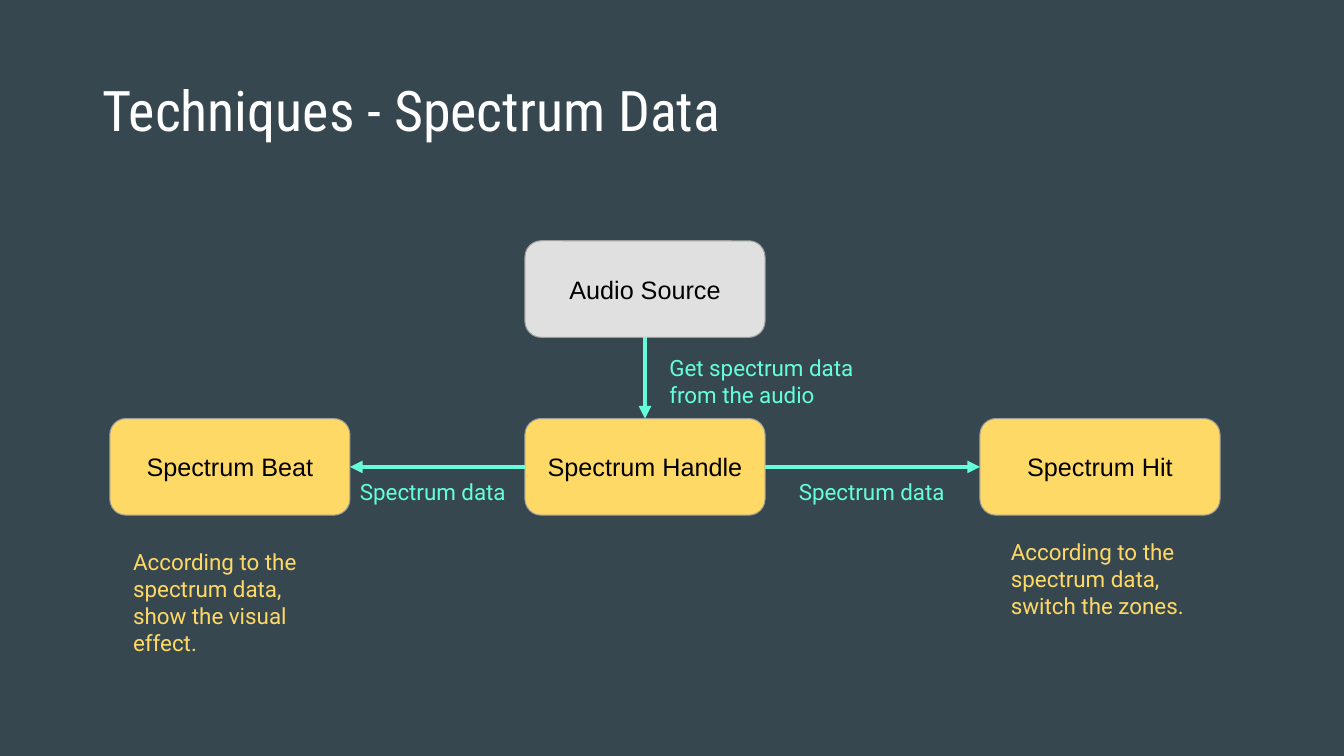
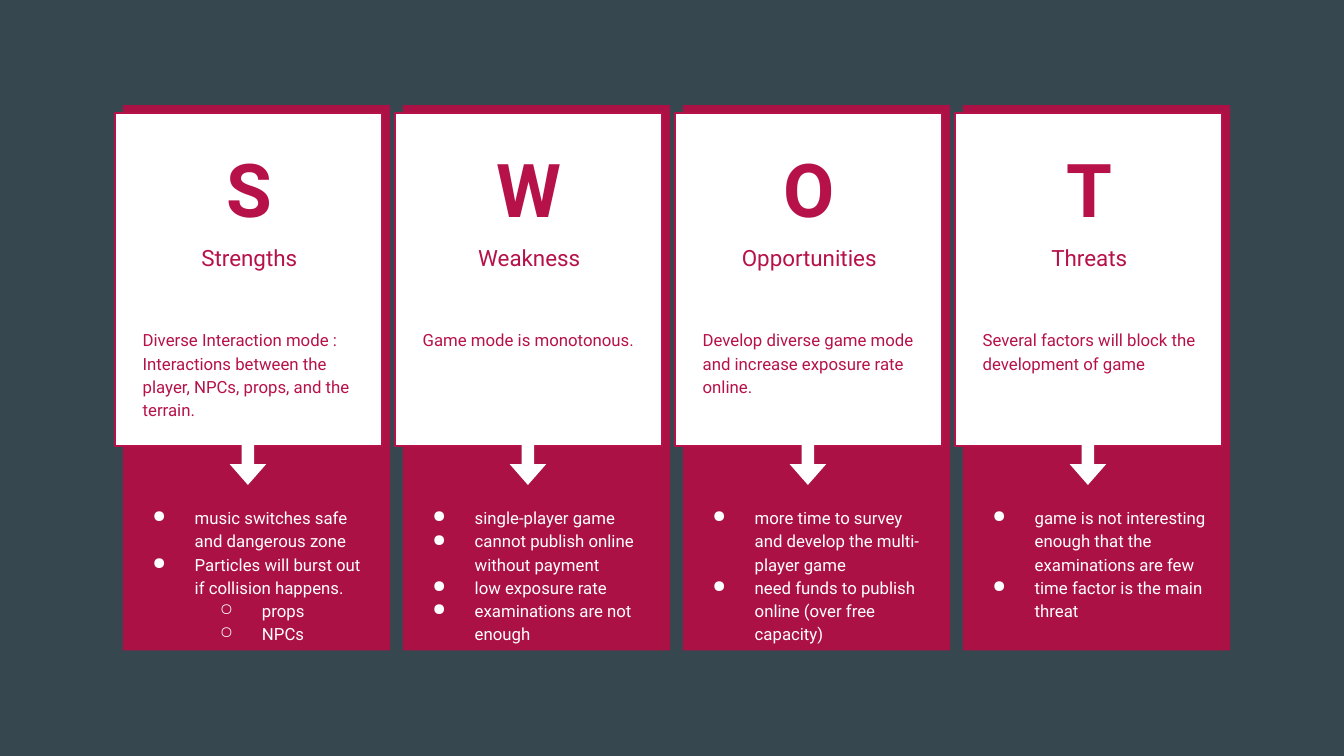
from lxml import etree
from pptx import Presentation
from pptx.dml.color import RGBColor
from pptx.enum.shapes import MSO_CONNECTOR, MSO_SHAPE
from pptx.enum.text import MSO_ANCHOR, MSO_AUTO_SIZE, PP_ALIGN
from pptx.oxml.ns import qn
from pptx.util import Pt

LEFT, CENTER = PP_ALIGN.LEFT, PP_ALIGN.CENTER
TOP, MIDDLE = MSO_ANCHOR.TOP, MSO_ANCHOR.MIDDLE
NO_AUTOFIT = MSO_AUTO_SIZE.NONE
STRAIGHT = MSO_CONNECTOR.STRAIGHT
RECTANGLE = MSO_SHAPE.RECTANGLE
ROUNDED = MSO_SHAPE.ROUNDED_RECTANGLE
DOWN_ARROW = MSO_SHAPE.DOWN_ARROW
TITLE_ONLY, BLANK = 5, 6
SITE_TOP, SITE_LEFT, SITE_BOTTOM, SITE_RIGHT = range(4)

SLATE, WHITE, BLACK = "37474F", "FFFFFF", "000000"
LIGHT_GRAY, GRAY = "E0E0E0", "9E9E9E"
YELLOW, MINT = "FFD966", "64FFDA"
CRIMSON, ROSE = "AC1145", "B61249"
BULLETS = "●○"


def color(value):
    return RGBColor.from_string(value)


class Deck:
    """Holds the shared style and the slide being built."""

    def __init__(self):
        self.deck = Presentation()
        self.deck.slide_width, self.deck.slide_height = Pt(960), Pt(540)
        background = self.deck.slide_master.background.fill
        background.solid()
        background.fore_color.rgb = color(SLATE)
        self.page = self.shapes = None

    def new_page(self, title=None):
        layout = TITLE_ONLY if title else BLANK
        self.page = self.deck.slides.add_slide(self.deck.slide_layouts[layout])
        self.shapes = self.page.shapes
        if title:
            box = self.page.shapes.title
            box.left, box.top, box.width, box.height = Pt(66), Pt(29), Pt(828), Pt(104)
            self.frame(box, 7.2, 3.6, MIDDLE)
            self.add_span(box.text_frame.paragraphs[0], title, 40, WHITE,
                          font="Roboto Condensed", spacing=0.9)

    def new_group(self):
        """Collect the next elements in a group on the current page."""
        self.shapes = self.page.shapes.add_group_shape().shapes

    def frame(self, box, side, edge, anchor):
        frame = box.text_frame
        frame.word_wrap = True
        frame.auto_size = NO_AUTOFIT
        frame.vertical_anchor = anchor
        frame.margin_left = frame.margin_right = Pt(side)
        frame.margin_top = frame.margin_bottom = Pt(edge)

    def add_span(self, para, text, size, ink, font="Roboto", align=LEFT,
                 spacing=1.0, bold=False):
        para.alignment = align
        para.line_spacing = spacing
        para.space_before = para.space_after = Pt(0)
        span = para.add_run()
        span.text = text
        span.font.name, span.font.size, span.font.bold = font, Pt(size), bold
        span.font.color.rgb = color(ink)

    def bullet(self, para, level):
        para.level = level
        properties = para._p.get_or_add_pPr()
        properties.set("marL", str(Pt(48 * (level + 1))))
        properties.set("indent", str(Pt(-30)))
        etree.SubElement(properties, qn("a:buChar")).set("char", BULLETS[level])

    def text(self, x, y, width, height, items, size, ink, inset=7.2,
             bulleted=False, **style):
        """Add a text box; each item is a (level, text) pair if bulleted."""
        box = self.shapes.add_textbox(Pt(x), Pt(y), Pt(width), Pt(height))
        self.frame(box, inset, inset, TOP)
        for index, item in enumerate(items):
            frame = box.text_frame
            para = frame.add_paragraph() if index else frame.paragraphs[0]
            level, words = item if bulleted else (0, item)
            if bulleted:
                self.bullet(para, level)
            self.add_span(para, words, size, ink, **style)

    def shape(self, kind, x, y, width, height, fill, line=None, weight=0.75):
        shape = self.shapes.add_shape(kind, Pt(x), Pt(y), Pt(width), Pt(height))
        shape.shadow.inherit = False
        shape.fill.solid()
        shape.fill.fore_color.rgb = color(fill)
        if line:
            shape.line.color.rgb = color(line)
            shape.line.width = Pt(weight)
        else:
            shape.line.fill.background()
        return shape

    def node(self, x, y, label, fill):
        node = self.shape(ROUNDED, x, y, 171.5, 69, fill, GRAY)
        self.frame(node, 7.2, 7.2, MIDDLE)
        self.add_span(node.text_frame.paragraphs[0], label, 18, BLACK,
                      font="Arial", align=CENTER)
        return node

    def arrow(self, start, start_site, end, end_site):
        arrow = self.shapes.add_connector(STRAIGHT, 0, 0, 0, 0)
        arrow.begin_connect(start, start_site)
        arrow.end_connect(end, end_site)
        arrow.line.color.rgb = color(MINT)
        arrow.line.width = Pt(3)
        properties = arrow._element.spPr
        line = properties.find(qn("a:ln"))
        etree.SubElement(line, qn("a:tailEnd")).set("type", "triangle")
        etree.SubElement(properties, qn("a:effectLst"))


def build_spectrum(deck):
    deck.new_page("Techniques - Spectrum Data")

    # Flow chart
    source = deck.node(375, 172, "Audio Source", LIGHT_GRAY)
    beat, handle, hit = [
        deck.node(x, 299, label, YELLOW)
        for x, label in ((78.5, "Spectrum Beat"), (375, "Spectrum Handle"),
                         (700, "Spectrum Hit"))]
    deck.arrow(source, SITE_BOTTOM, handle, SITE_TOP)
    deck.arrow(handle, SITE_LEFT, beat, SITE_RIGHT)
    deck.arrow(handle, SITE_RIGHT, hit, SITE_LEFT)

    # Arrow labels and notes
    for x, y, width, height, words, ink in (
            (471, 245.5, 151, 53, "Get spectrum data from the audio", MINT),
            (250, 334, 136, 34, "Spectrum data", MINT),
            (563.5, 334, 136, 34, "Spectrum data", MINT),
            (88, 384.5, 153.5, 73,
             "According to the spectrum data, show the visual effect.", YELLOW),
            (715, 377, 153.5, 73,
             "According to the spectrum data, switch the zones.", YELLOW)):
        deck.text(x, y, width, height, [words], 16, ink)


SWOT = (
    ("Strengths",
     ["Diverse Interaction mode :",
      "Interactions between the player, NPCs, props, and the terrain."],
     [(0, "music switches safe and dangerous zone"),
      (0, "Particles will burst out if collision happens."),
      (1, "props"), (1, "NPCs")]),
    ("Weakness",
     ["Game mode is monotonous."],
     [(0, "single-player game"), (0, "cannot publish online without payment"),
      (0, "low exposure rate"), (0, "examinations are not enough")]),
    ("Opportunities",
     ["Develop diverse game mode and increase exposure rate online."],
     [(0, "more time to survey and develop the multi-player game"),
      (0, "need funds to publish online (over free capacity)")]),
    ("Threats",
     ["Several factors will block the development of game"],
     [(0, "game is not interesting enough that the examinations are few"),
      (0, "time factor is the main threat")]),
)


def build_swot(deck):
    deck.new_page()
    card_width, inset = 191, 9.14
    for column, (heading, summary, points) in enumerate(SWOT):
        x = 82 + 200 * column
        text_x, text_width = x + 10.8, 170.6
        deck.new_group()

        # Panel and card
        deck.shape(RECTANGLE, x + 5.8, 75, card_width, 389.5, CRIMSON)
        deck.shape(RECTANGLE, x, 80.6, card_width, 238.3, WHITE, ROSE, 1.5)

        # Card text
        deck.text(text_x, 93, text_width, 65, [heading[0]], 53, ROSE, inset,
                  align=CENTER, bold=True)
        deck.text(text_x, 165, text_width, 58, [heading], 16, ROSE, inset, align=CENTER)
        deck.text(text_x, 224.5, text_width, 79, summary, 12, ROSE, inset, spacing=1.15)

        # Arrow and details
        pointer = deck.shape(DOWN_ARROW, x + 82.1, 309, 26, 37.4, WHITE)
        pointer.adjustments[0], pointer.adjustments[1] = 0.34, 0.57
        deck.text(x, 351.5, card_width, 104, points, 12, WHITE, inset,
                  bulleted=True, spacing=1.15)


def main():
    deck = Deck()
    build_spectrum(deck)
    build_swot(deck)
    deck.deck.save("out.pptx")


if __name__ == "__main__":
    main()
